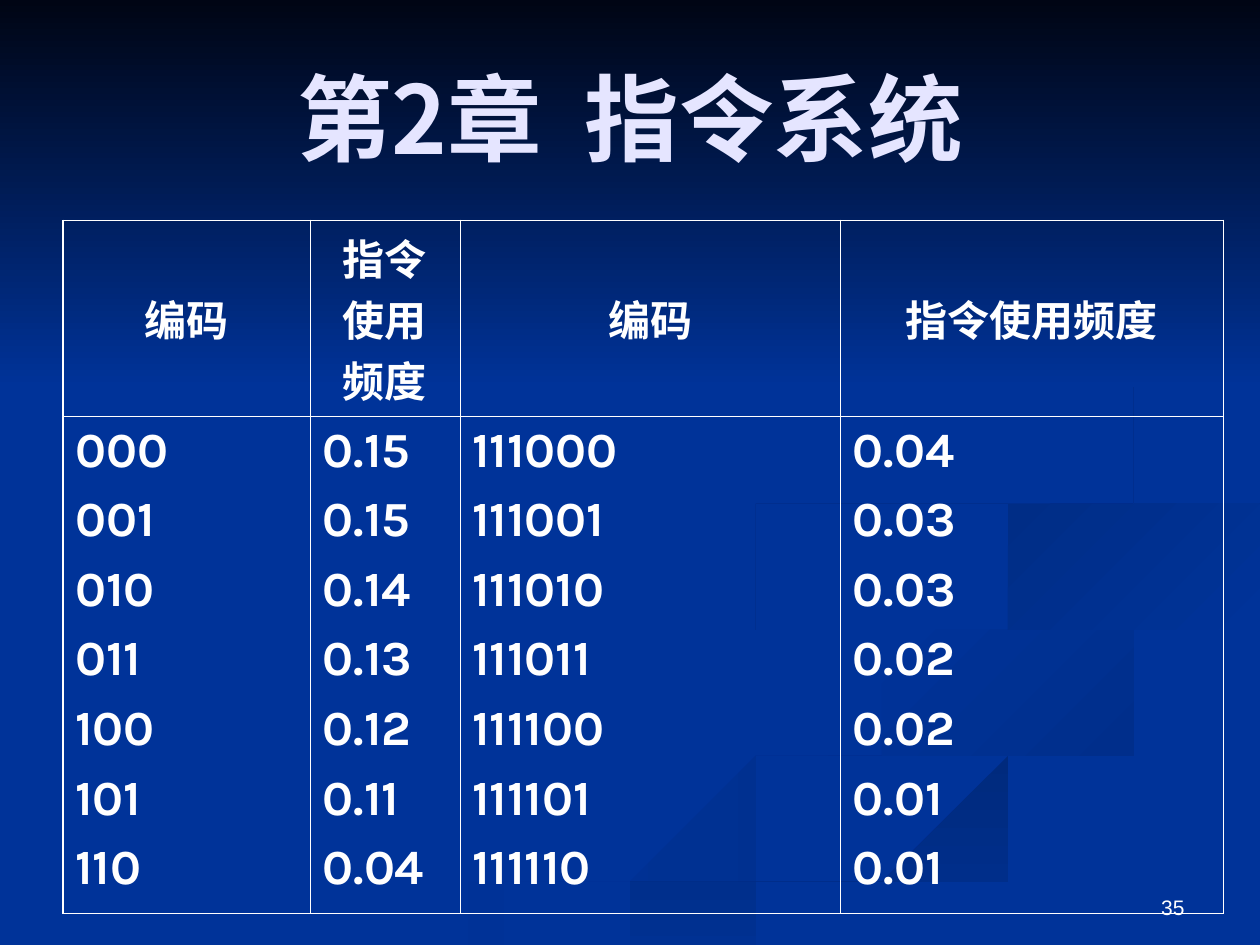
from lxml import etree
from pptx import Presentation
from pptx import util as u
from pptx.dml.color import RGBColor
from pptx.enum import shapes, text
from pptx.oxml.ns import qn

COLORS = {
    "background": "003399", "night": "000514", "title": "E5E5FF", "white": "FFFFFF",
    "shade_left": "002E8B", "shade_low": "002A7D", "shade_right": "002D86",
    "shade_top": "002B82",
}
THIN, THICK = 0.45, 1.08

presentation = Presentation()
presentation.slide_width, presentation.slide_height = u.Inches(10), u.Inches(7.5)
WIDTH, HEIGHT = presentation.slide_width, presentation.slide_height
slide = presentation.slides.add_slide(presentation.slide_layouts[5])
slide.background.fill.solid()
slide.background.fill.fore_color.rgb = RGBColor.from_string(COLORS["background"])


def paint(shape, start, end, angle):
    """Fill a borderless shape with a two-colour gradient, angle clockwise."""
    shape.shadow.inherit = False
    shape.line.fill.background()
    shape.fill.gradient()
    shape.fill.gradient_angle = (360 - angle) % 360
    for stop, name in zip(shape.fill.gradient_stops, (start, end)):
        stop.color.rgb = RGBColor.from_string(COLORS[name])


def style(paragraph, size, color, font, bold=False):
    """Set one font for Latin and East Asian text of a paragraph."""
    paragraph.font.size = u.Pt(size)
    paragraph.font.bold = bold
    paragraph.font.color.rgb = RGBColor.from_string(COLORS[color])
    paragraph.font.name = font
    if font.startswith("Noto"):
        properties = paragraph._p.pPr.find(qn("a:defRPr"))
        etree.SubElement(properties, qn("a:ea"), typeface=font)


# Background ribbons: start colour, end colour, angle, bends of the outline in inches
ribbons = [
    ("background", "shade_left", 0, [
        (5.72, 4.6), (6.1, 5), (7, 5.25), (7.7, 5.5), (7.84, 5.7), (7.4, 5.98),
        (5.8, 6.39), (4.2, 6.9), (3, 7.5), (3.6, 7.5), (5, 6.87), (6.8, 6.34),
        (7.8, 6.05), (8, 5.8), (7.8, 5.53), (6.8, 5.19), (5.9, 4.85)]),
    ("background", "shade_left", 45, [
        (7.24, 4.64), (7.5, 5), (8.4, 5.36), (9.18, 5.8), (8.94, 6.05),
        (9.43, 5.7), (9.05, 5.4), (7.9, 5.09)]),
    ("shade_low", "background", 90, [
        (5, 7.5), (5.7, 7.5), (7, 6.92), (8.2, 6.51), (10, 6.09),
        (10, 5.81), (8.3, 6.29), (6.3, 6.93)]),
    ("shade_right", "background", 45, [
        (7.8, 4.6), (8.26, 4.96), (8.05, 4.74), (8.4, 4.48), (9.4, 4.29),
        (10, 4.2), (10, 4.02), (8.65, 4.24)]),
    ("shade_top", "background", 45, [
        (7.62, 2.33), (8.46, 2.79), (8.89, 3.35), (8.6, 3.7), (7.6, 3.98),
        (6.25, 4.26), (5.77, 4.6), (6.22, 5), (5.93, 4.7), (6.24, 4.44),
        (7.4, 4.2), (8.55, 3.9), (8.94, 3.44), (8.64, 2.9)]),
]
STEPS = 6
for start, end, angle, bends in ribbons:
    # Catmull-Rom curve through the bends, kept inside the slide
    curve = []
    for index in range(len(bends)):
        quad = [bends[(index + shift) % len(bends)] for shift in (-1, 0, 1, 2)]
        for step in range(STEPS):
            t = step / STEPS
            x, y = (
                b + t / 2 * (c - a + t * (2 * a - 5 * b + 4 * c - d
                                          + t * (3 * b - a - 3 * c + d)))
                for a, b, c, d in zip(*quad))
            curve.append((min(x, 10), min(y, 7.5)))
    builder = slide.shapes.build_freeform(*curve[0], scale=u.Inches(1))
    builder.add_line_segments(curve[1:], close=True)
    paint(builder.convert_to_shape(), start, end, angle)

# Dark sky fading down from the top edge
sky = slide.shapes.add_shape(shapes.MSO_SHAPE.RECTANGLE, 0, 0, WIDTH, int(HEIGHT * 0.41))
paint(sky, "night", "background", 90)

# Slide number
number = slide.shapes.add_textbox(u.Inches(7.17), u.Inches(6.83), u.Inches(2.33), u.Inches(0.52))
number.text_frame.word_wrap = True
number.text_frame.vertical_anchor = text.MSO_ANCHOR.BOTTOM
number.text_frame.text = "35"
paragraph = number.text_frame.paragraphs[0]
paragraph.alignment = text.PP_ALIGN.RIGHT
style(paragraph, 12, "white", "Arial")

# Title, brought in front of the background
title = slide.shapes.title
slide.shapes._spTree.append(title._element)
title.left, title.top = int(WIDTH * 0.05), int(HEIGHT * 0.04)
title.width, title.height = int(WIDTH * 0.9), u.Inches(1.25)
title.text_frame.text = "第2章  指令系统"
title.text_frame.vertical_anchor = text.MSO_ANCHOR.MIDDLE
paragraph = title.text_frame.paragraphs[0]
paragraph.alignment = text.PP_ALIGN.CENTER
style(paragraph, 54, "title", "Noto Sans CJK SC", bold=True)

# Table of codes and frequencies: width, heading, lines of the cell below it
columns = [
    (1.96, "编码", [f"{code:03b}" for code in range(7)]),
    (1.19, "指令使用频度", "0.15 0.15 0.14 0.13 0.12 0.11 0.04".split()),
    (3.02, "编码", [f"111{code:03b}" for code in range(7)]),
    (3.04, "指令使用频度", "0.04 0.03 0.03 0.02 0.02 0.01 0.01".split()),
]
row_heights = [1.3, 3.95]
frame = slide.shapes.add_table(
    len(row_heights), len(columns), u.Inches(0.5), u.Inches(1.75),
    u.Inches(sum(column[0] for column in columns)), u.Inches(sum(row_heights)))
table = frame.table
table.first_row = table.horz_banding = False
for row, height in zip(table.rows, row_heights):
    row.height = u.Inches(height)

for column_index, (width, heading, values) in enumerate(columns):
    table.columns[column_index].width = u.Inches(width)
    for row_index, lines in enumerate(([heading], values)):
        cell = table.cell(row_index, column_index)
        is_heading = row_index == 0
        cell.vertical_anchor = text.MSO_ANCHOR.MIDDLE if is_heading else text.MSO_ANCHOR.TOP
        cell.text_frame.text = "\n".join(lines)
        for index, paragraph in enumerate(cell.text_frame.paragraphs):
            paragraph.alignment = text.PP_ALIGN.CENTER if is_heading else text.PP_ALIGN.LEFT
            if index:
                paragraph.space_before = u.Pt(7)
            style(paragraph, 24 if is_heading else 28, "white", "Karla", bold=True)

        # Thick outer frame, thin inner rules
        outer_edges = {
            "a:lnL": column_index == 0, "a:lnR": column_index == len(columns) - 1,
            "a:lnT": is_heading, "a:lnB": not is_heading,
        }
        properties = cell._tc.get_or_add_tcPr()
        for tag, is_outer in outer_edges.items():
            points = THICK if is_outer else THIN
            line = etree.SubElement(properties, qn(tag), w=str(int(u.Pt(points))))
            fill = etree.SubElement(line, qn("a:solidFill"))
            etree.SubElement(fill, qn("a:srgbClr"), val=COLORS["white"])
        cell.fill.background()

presentation.save("out.pptx")
